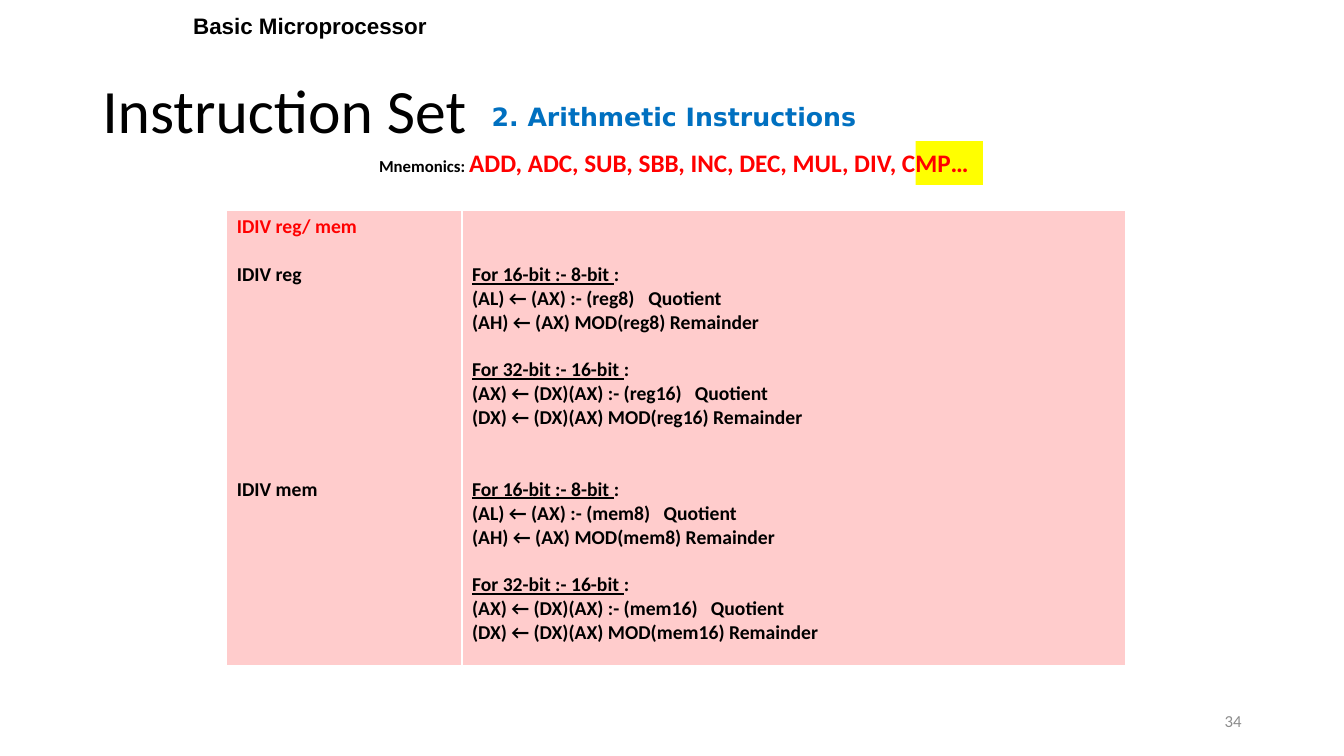
import pptx
import pptx.util
import pptx.dml.color
import pptx.enum.shapes
import pptx.enum.text
import pptx.oxml

Pt = pptx.util.Pt
ALIGN = pptx.enum.text.PP_ALIGN
ANCHOR = pptx.enum.text.MSO_ANCHOR
COLORS = {"black": "000000", "red": "FF0000", "blue": "0070C0", "gray": "8C8C8C",
          "yellow": "FFFF00", "pink": "FFCCCC", "white": "FFFFFF"}
NS = 'xmlns:a="http://schemas.openxmlformats.org/drawingml/2006/main"'

prs = pptx.Presentation()
prs.slide_width = pptx.util.Inches(13.333)
prs.slide_height = pptx.util.Inches(7.5)
s = prs.slides.add_slide(prs.slide_layouts[6])
UNIT = prs.slide_height / 90  # the slide is a grid of 160 columns by 90 rows


def grid(*cells):
    return [round(n * UNIT) for n in cells]


def write(p, text, size=14, font="Calibri", color="black", bold=True, underline=False):
    r = p.add_run()
    r.text = text
    r.font.size = Pt(size)
    r.font.name = font
    r.font.bold = bold
    r.font.underline = underline
    r.font.color.rgb = pptx.dml.color.RGBColor.from_string(COLORS[color])


# Highlight behind the end of the mnemonics
sp = s.shapes.add_shape(pptx.enum.shapes.MSO_SHAPE.RECTANGLE, *grid(109, 16.8, 8, 5.2))
sp.shadow.inherit = False
sp.fill.solid()
sp.fill.fore_color.rgb = pptx.dml.color.RGBColor.from_string(COLORS["yellow"])
sp.line.fill.background()

# Headings and slide number: place, alignment, anchor, runs
boxes = [
    ((23.5, 11.2, 113.5, 5.2), ALIGN.CENTER, ANCHOR.MIDDLE,
     [("2. Arithmetic Instructions", dict(size=18, font="DejaVu Sans", color="blue"))]),
    ((11, 4.8, 138, 17.4), ALIGN.LEFT, ANCHOR.MIDDLE,
     [("Instruction Set", dict(size=44, bold=False))]),
    ((113, 83.4, 36, 4.8), ALIGN.RIGHT, ANCHOR.MIDDLE,
     [("34", dict(size=12, color="gray", bold=False))]),
    ((20.9, 0.8, 32, 4.4), ALIGN.CENTER, ANCHOR.TOP,
     [("Basic Microprocessor", dict(size=16, font="Arial"))]),
    ((23.5, 17, 113.5, 4.8), ALIGN.CENTER, ANCHOR.TOP,
     [("Mnemonics: ", dict(size=12)),
      ("ADD, ADC, SUB, SBB, INC, DEC, MUL, DIV, CMP…", dict(size=18, color="red"))]),
]
for place, align, anchor, runs in boxes:
    tf = s.shapes.add_textbox(*grid(*place)).text_frame
    tf.word_wrap = True
    tf.vertical_anchor = anchor
    p = tf.paragraphs[0]
    p.alignment = align
    if runs[0][1]["size"] == 44:
        p.line_spacing = 0.9
    for text, style in runs:
        write(p, text, **style)

# Table of one row
table = s.shapes.add_table(1, 2, *grid(27, 25, 107, 54.4)).table
table.columns[0].width, table.columns[1].width = grid(28, 79)
for cell in table.rows[0].cells:
    cell.fill.solid()
    cell.fill.fore_color.rgb = pptx.dml.color.RGBColor.from_string(COLORS["pink"])
    tcPr = cell._tc.get_or_add_tcPr()
    for i, (side, width) in enumerate([("L", 1), ("R", 1), ("T", 1), ("B", 3)]):
        tcPr.insert(i, pptx.oxml.parse_xml(
            f'<a:ln{side} {NS} w="{Pt(width)}"><a:solidFill>'
            f'<a:srgbClr val="{COLORS["white"]}"/></a:solidFill></a:ln{side}>'))

LINE = 17.08  # points per line of 14 point text
forms, operations = table.rows[0].cells
tf = forms.text_frame
for text, lines_above, color in [("IDIV reg/ mem", 0, "red"), ("IDIV reg", 1, "black"),
                                 ("IDIV mem", 8, "black")]:
    p = tf.add_paragraph() if lines_above else tf.paragraphs[0]
    p.space_before = Pt(lines_above * LINE)
    write(p, text, color=color)

operations.margin_top = forms.margin_top + Pt(2 * LINE)
tf = operations.text_frame
# operand, bits, dividend, quotient, remainder, lines above, tab to "Quotient" in inches
divisions = [("reg", 8, "(AX)", "AL", "AH", 0, 1.75),
             ("reg", 16, "(DX)(AX)", "AX", "DX", 1, 2.21),
             ("mem", 8, "(AX)", "AL", "AH", 2, 1.9),
             ("mem", 16, "(DX)(AX)", "AX", "DX", 1, 2.37)]
for operand, bits, dividend, quotient, remainder, lines_above, tab in divisions:
    p = tf.add_paragraph() if lines_above else tf.paragraphs[0]
    p.space_before = Pt(lines_above * LINE)
    write(p, f"For {2 * bits}-bit :- {bits}-bit ", underline=True)
    write(p, ":")
    p = tf.add_paragraph()
    p._p.get_or_add_pPr().append(pptx.oxml.parse_xml(
        f'<a:tabLst {NS}><a:tab pos="{pptx.util.Inches(tab)}" algn="l"/></a:tabLst>'))
    write(p, f"({quotient}) ← {dividend} :- ({operand}{bits})\tQuotient")
    p = tf.add_paragraph()
    write(p, f"({remainder}) ← {dividend} MOD({operand}{bits}) Remainder")

prs.save("out.pptx")
